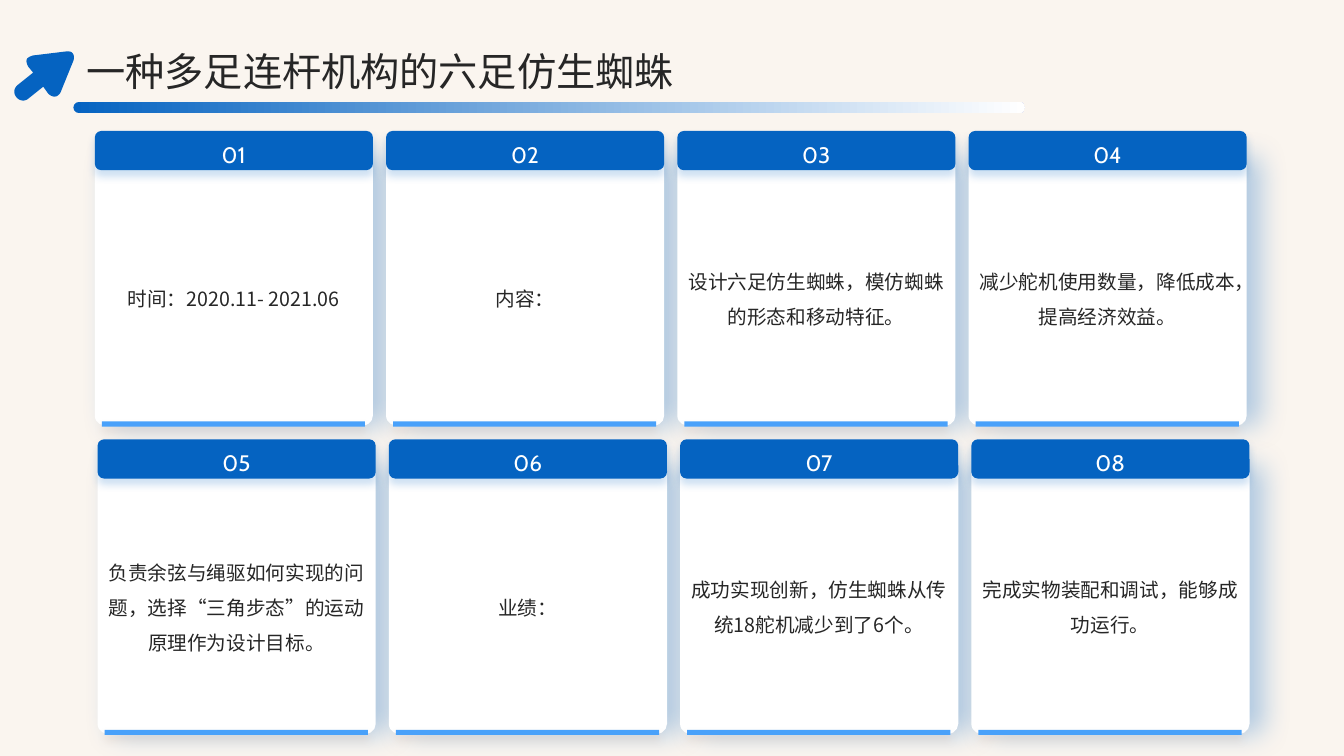
from lxml.etree import SubElement
from pptx import Presentation
from pptx.dml.color import RGBColor
from pptx.enum.shapes import MSO_SHAPE
from pptx.enum.text import MSO_ANCHOR, PP_ALIGN
from pptx.oxml.ns import qn
from pptx.util import Cm, Pt

COLORS = {
    "cream": "F6EDE1", "white": "FFFFFF", "blue": "0563C1",
    "sky": "49A1FA", "clay": "CD9673", "ink": "262626",
}
CARD_SHADOW = {"color": "blue", "alpha": 30, "blur": 20, "distance": 10, "direction": 0}
HEADER_SHADOW = {"color": "blue", "alpha": 20, "blur": 6, "distance": 4, "direction": 90}
STRIP_SHADOW = {**HEADER_SHADOW, "color": "clay"}

TITLE_STYLE = {
    "font": {"size": Pt(28), "name": "Noto Sans CJK SC"}, "color": "ink",
    "paragraph": {"line_spacing": 1.1, "alignment": PP_ALIGN.LEFT},
    "anchor": MSO_ANCHOR.MIDDLE,
}
BODY_STYLE = {
    "font": {"size": Pt(14), "name": "Noto Sans CJK SC"}, "color": "ink",
    "paragraph": {"line_spacing": 1.5, "alignment": PP_ALIGN.CENTER},
    "anchor": MSO_ANCHOR.MIDDLE,
}
NUMBER_STYLE = {
    "font": {"size": Pt(16), "name": "Cabin"}, "color": "white",
    "paragraph": {"line_spacing": 1.1, "alignment": PP_ALIGN.CENTER},
    "anchor": MSO_ANCHOR.TOP,
}

TITLE = "一种多足连杆机构的六足仿生蜘蛛"
CARD_ROWS = [
    (2.39, 3.3, [
        "时间：2020.11- 2021.06",
        "内容：",
        "设计六足仿生蜘蛛，模仿蜘蛛的形态和移动特征。",
        "减少舵机使用数量，降低成本，提高经济效益。",
    ]),
    (2.46, 11.07, [
        "负责余弦与绳驱如何实现的问题，选择“三角步态”的运动原理作为设计目标。",
        "业绩：",
        "成功实现创新，仿生蜘蛛从传统18舵机减少到了6个。",
        "完成实物装配和调试，能够成功运行。",
    ]),
]
CARD_WIDTH = 7.01
CARD_PITCH = 7.34

ARROW_WIDTH = 63
ARROW_START = (14, 8)
ARROW_STEPS = [
    [(13, 10), (13, 12), (15, 16)],
    [(20, 22)],
    [(5, 34)],
    [(1, 37), (0, 42), (3, 46)],
    [(6, 50), (11, 51), (15, 48)],
    [(30, 36)],
    [(35, 43)],
    [(35, 43), (42, 50), (47, 42)],
    [(60, 10)],
    [(60, 10), (63, 0), (53, 1)],
    [(20, 5)],
    [(20, 5), (16, 6), (14, 8)],
]


def set_attributes(target, values):
    for name, value in values.items():
        setattr(target, name, value)


def paint(shape, color):
    shape.shadow.inherit = False
    shape.fill.solid()
    shape.fill.fore_color.rgb = RGBColor.from_string(COLORS[color])
    shape.line.fill.background()


def add_panel(slide, kind, left, top, width, height, color, shadow=None, radius=None):
    shape = slide.shapes.add_shape(kind, Cm(left), Cm(top), Cm(width), Cm(height))
    paint(shape, color)
    if radius is not None:
        shape.adjustments[0] = radius
    if shadow:
        effects = shape._element.spPr.find(qn("a:effectLst"))
        outer = SubElement(
            effects, qn("a:outerShdw"),
            blurRad=str(Pt(shadow["blur"])), dist=str(Pt(shadow["distance"])),
            dir=str(shadow["direction"] * 60000), algn="ctr", rotWithShape="0",
        )
        tint = SubElement(outer, qn("a:srgbClr"), val=COLORS[shadow["color"]])
        SubElement(tint, qn("a:alpha"), val=str(shadow["alpha"] * 1000))
    return shape


def add_text(slide, text, left, top, width, height, style):
    box = slide.shapes.add_textbox(Cm(left), Cm(top), Cm(width), Cm(height))
    frame = box.text_frame
    margins = dict.fromkeys(("margin_left", "margin_top", "margin_right", "margin_bottom"), 0)
    set_attributes(frame, {"word_wrap": True, "vertical_anchor": style["anchor"], **margins})
    paragraph = frame.paragraphs[0]
    set_attributes(paragraph, style["paragraph"])
    run = paragraph.add_run()
    run.text = text
    set_attributes(run.font, style["font"])
    run.font.color.rgb = RGBColor.from_string(COLORS[style["color"]])
    SubElement(run._r.get_or_add_rPr(), qn("a:ea"), typeface=style["font"]["name"])


def add_background(slide, width, height):
    shape = add_panel(slide, MSO_SHAPE.RECTANGLE, 0, 0, width, height, "cream")
    color = shape._element.spPr.find(qn("a:solidFill")).find(qn("a:srgbClr"))
    SubElement(color, qn("a:alpha"), val="50000")


def add_card(slide, left, top, width, number, text):
    add_panel(slide, MSO_SHAPE.ROUNDED_RECTANGLE, left, top + 0.64, width, 6.78,
              "white", CARD_SHADOW, 0.037)
    add_panel(slide, MSO_SHAPE.ROUNDED_RECTANGLE, left, top, width, 0.99,
              "blue", HEADER_SHADOW)
    add_panel(slide, MSO_SHAPE.RECTANGLE, left + 0.18, top + 7.32, width - 0.38, 0.13,
              "sky", STRIP_SHADOW)
    add_text(slide, text, left + 0.25, top + 1.17, width - 0.51, 5.84, BODY_STYLE)
    add_text(slide, f"{number:02}", left + 0.25, top + 0.18, width - 0.51, 0.69, NUMBER_STYLE)


def curve_points(start, controls, count=12):
    first, second, end = controls
    for index in range(1, count + 1):
        t = index / count
        u = 1 - t
        yield tuple(
            u ** 3 * a + 3 * u * u * t * b + 3 * u * t * t * c + t ** 3 * d
            for a, b, c, d in zip(start, first, second, end)
        )


def add_arrow(slide, left, top, width):
    outline = [ARROW_START]
    for step in ARROW_STEPS:
        outline.extend(step if len(step) == 1 else curve_points(outline[-1], step))
    unit = width / ARROW_WIDTH
    points = [(Cm(left + x * unit), Cm(top + y * unit)) for x, y in outline]
    builder = slide.shapes.build_freeform(*points[0])
    builder.add_line_segments(points[1:], close=True)
    paint(builder.convert_to_shape(), "blue")


def add_title(slide, left, top):
    add_text(slide, TITLE, left + 1.85, top, 29.64, 1.3, TITLE_STYLE)
    bar = add_panel(slide, MSO_SHAPE.ROUNDED_RECTANGLE, left + 1.52, top + 1.5, 23.98, 0.28,
                    "blue", radius=0.5)
    bar.fill.gradient()
    bar.fill.gradient_angle = 0
    for stop, color in zip(bar.fill.gradient_stops, ("blue", "white")):
        stop.color.rgb = RGBColor.from_string(COLORS[color])
    add_arrow(slide, left, top + 0.2, 1.6)


def main():
    presentation = Presentation()
    set_attributes(presentation, {"slide_width": Cm(33.87), "slide_height": Cm(19.05)})
    slide = presentation.slides.add_slide(presentation.slide_layouts[6])
    add_background(slide, 33.87, 19.05)
    number = 1
    for left, top, texts in CARD_ROWS:
        for column, text in enumerate(texts):
            add_card(slide, left + column * CARD_PITCH, top, CARD_WIDTH, number, text)
            number += 1
    add_title(slide, 0.33, 1.07)
    presentation.save("out.pptx")


if __name__ == "__main__":
    main()
